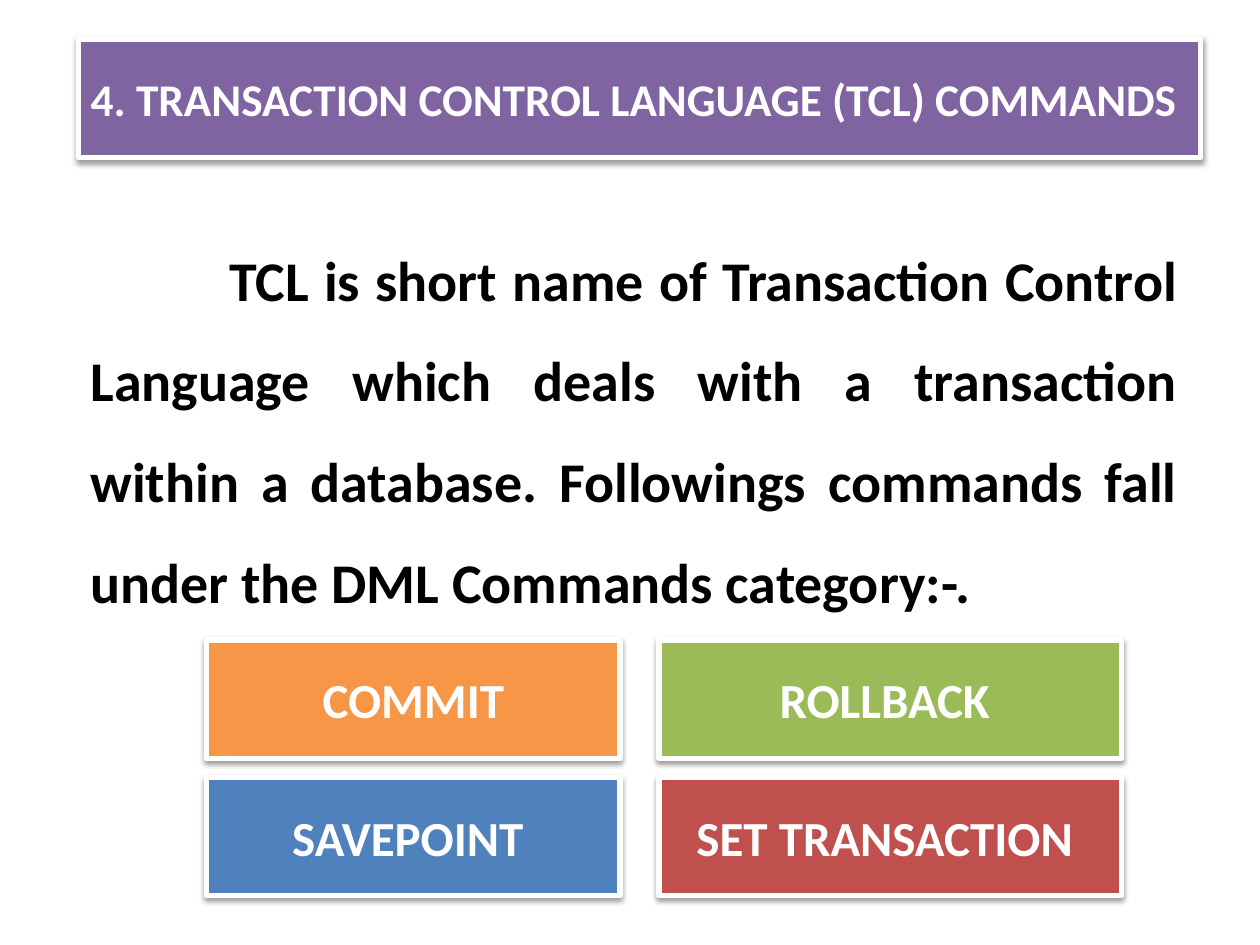
from lxml import etree
from pptx import Presentation
from pptx.dml.color import RGBColor
from pptx.enum.shapes import MSO_SHAPE
from pptx.enum.text import MSO_ANCHOR, MSO_AUTO_SIZE, PP_ALIGN
from pptx.oxml.ns import qn
from pptx.util import Inches, Pt

RECTANGLE = MSO_SHAPE.RECTANGLE
MIDDLE, TOP = MSO_ANCHOR.MIDDLE, MSO_ANCHOR.TOP
CENTER, JUSTIFY = PP_ALIGN.CENTER, PP_ALIGN.JUSTIFY
NO_AUTOFIT = MSO_AUTO_SIZE.NONE
TITLE_ONLY = 5

FONT = "Calibri"
COLORS = {
    "white": "FFFFFF",
    "black": "000000",
    "purple": "8064A2",
    "orange": "F79646",
    "green": "9BBB59",
    "blue": "4F81BD",
    "red": "C0504D",
}

TITLE = "4. TRANSACTION CONTROL LANGUAGE (TCL) COMMANDS"
DEFINITION = (
    "TCL is short name of Transaction Control Language which deals with a "
    "transaction within a database. Followings commands fall under the DML "
    "Commands category:-."
)
COMMANDS = [
    [("COMMIT", "orange"), ("ROLLBACK ", "green")],
    [("SAVEPOINT ", "blue"), ("SET TRANSACTION ", "red")],
]
COLUMNS = [(1.64, 3.28), (5.23, 3.67)]  # left, width
GRID_TOP, ROW_PITCH, BOX_HEIGHT = 5.08, 1.09, 0.94


def color(name):
    return RGBColor.from_string(COLORS[name])


def write_text(shape, text, size, color_name, align, anchor):
    frame = shape.text_frame
    frame.word_wrap = True
    frame.auto_size = NO_AUTOFIT
    frame.vertical_anchor = anchor
    frame.text = text
    paragraph = frame.paragraphs[0]
    paragraph.alignment = align
    font = paragraph.runs[0].font
    font.name, font.size, font.bold = FONT, Pt(size), True
    font.color.rgb = color(color_name)
    return paragraph


def style_box(box, fill_name):
    """Solid fill, white border and a soft shadow below."""
    box.fill.solid()
    box.fill.fore_color.rgb = color(fill_name)
    box.line.color.rgb = color("white")
    box.line.width = Pt(3)
    box.shadow.inherit = False
    effects = box._element.spPr.find(qn("a:effectLst"))
    shadow = etree.SubElement(
        effects, qn("a:outerShdw"), blurRad=str(Pt(3.1)), dist=str(Pt(1.6)),
        dir="5400000", rotWithShape="0")
    shade = etree.SubElement(shadow, qn("a:srgbClr"), val=COLORS["black"])
    etree.SubElement(shade, qn("a:alpha"), val="38000")


def add_title(slide):
    title = slide.shapes.title
    title.left, title.top = Inches(0.62), Inches(0.31)
    title.width, title.height = Inches(8.91), Inches(BOX_HEIGHT)
    style_box(title, "purple")
    write_text(title, TITLE, 25.9, "white", JUSTIFY, MIDDLE)


def add_definition(slide):
    definition = slide.shapes.add_textbox(
        Inches(0.62), Inches(1.63), Inches(8.83), Inches(3.25))
    paragraph = write_text(definition, DEFINITION, 32, "black", JUSTIFY, TOP)
    paragraph.line_spacing = 1.5
    # First-line indent
    paragraph._p.get_or_add_pPr().set("indent", str(Inches(1.1)))


def add_command(slide, left, top, width, command, fill_name):
    box = slide.shapes.add_shape(
        RECTANGLE, Inches(left), Inches(top), Inches(width), Inches(BOX_HEIGHT))
    style_box(box, fill_name)
    write_text(box, command, 28, "white", CENTER, MIDDLE)


def main():
    prs = Presentation()
    prs.slide_width, prs.slide_height = Inches(10), Inches(7.5)
    slide = prs.slides.add_slide(prs.slide_layouts[TITLE_ONLY])

    add_title(slide)
    add_definition(slide)

    # Grid of TCL commands
    for row, commands in enumerate(COMMANDS):
        top = GRID_TOP + row * ROW_PITCH
        for (left, width), (command, fill_name) in zip(COLUMNS, commands):
            add_command(slide, left, top, width, command, fill_name)

    prs.save("out.pptx")


if __name__ == "__main__":
    main()
